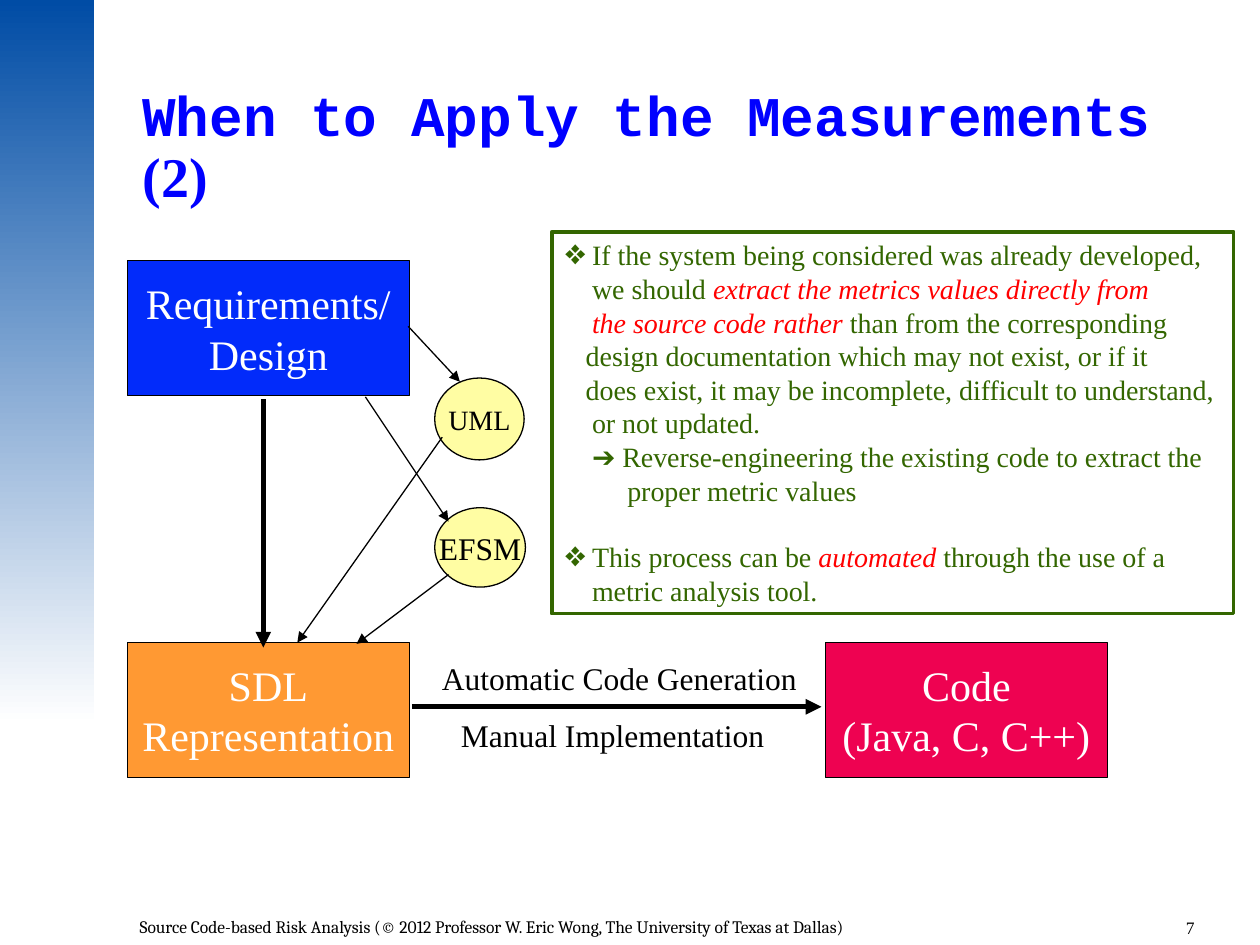
from lxml import etree
from pptx import Presentation
from pptx import util as u
from pptx.dml import color
from pptx.enum import shapes, text
from pptx.oxml import ns

COLUMNS, ROWS = 100, 75
CELL = u.Inches(0.1)
SERIF = "Times New Roman"
BLACK, WHITE, GREEN, RED, YELLOW = "000000", "FFFFFF", "336600", "FF0000", "FFFDA3"
BLOCK_WIDTH, BLOCK_HEIGHT = 22.4, 10.7
LEFT, RIGHT, UPPER, LOWER = 10.1, 65.5, 20.7, 51


def grid(*cells):
    """Turn grid positions into slide lengths."""
    return [round(cell * CELL) for cell in cells]


def rgb(value):
    """Give the colour for a hex string."""
    return color.RGBColor.from_string(value)


def child(parent, tag, **attributes):
    """Add a drawing element to a parent element."""
    return etree.SubElement(parent, ns.qn("a:" + tag), attributes)


def write(para, words, size=16, font=SERIF, ink=BLACK, bold=False, italic=False):
    """Add a formatted span to a paragraph."""
    span = para.add_run()
    span.text = words
    span.font.size = u.Pt(size)
    span.font.name = font
    span.font.color.rgb = rgb(ink)
    span.font.bold = bold
    span.font.italic = italic


def add_label(page, words, place, align=text.PP_ALIGN.LEFT, **style):
    """Add a one-line text box."""
    box = page.shapes.add_textbox(*grid(*place))
    box.text_frame.word_wrap = True
    para = box.text_frame.paragraphs[0]
    para.alignment = align
    write(para, words, **style)


def add_box(page, kind, place, fill=None, line=BLACK, weight=0.75):
    """Add a preset shape with plain fill and outline."""
    box = page.shapes.add_shape(kind, *grid(*place))
    box.shadow.inherit = False
    if fill:
        box.fill.solid()
        box.fill.fore_color.rgb = rgb(fill)
    else:
        box.fill.background()
    box.line.color.rgb = rgb(line)
    box.line.width = u.Pt(weight)
    return box


def add_node(page, kind, place, fill, lines, **style):
    """Add a diagram node with centred lines of text."""
    frame = add_box(page, kind, place, fill).text_frame
    frame.word_wrap = False
    frame.vertical_anchor = text.MSO_ANCHOR.MIDDLE
    for index, words in enumerate(lines):
        para = frame.add_paragraph() if index else frame.paragraphs[0]
        para.alignment = text.PP_ALIGN.CENTER
        write(para, words, **style)


def add_arrow(page, start, end, weight=0.75):
    """Add a straight arrow between two grid points."""
    arrow = page.shapes.add_connector(shapes.MSO_CONNECTOR.STRAIGHT, *grid(*start, *end))
    arrow.line.color.rgb = rgb(BLACK)
    arrow.line.width = u.Pt(weight)
    child(arrow.line._get_or_add_ln(), "tailEnd", type="triangle")
    child(arrow._element.spPr, "effectLst")


def add_side_band(page):
    """Add the band that fades downwards at the left edge."""
    band = add_box(page, shapes.MSO_SHAPE.RECTANGLE, (0, 0, 7.5, 57.5))
    band.line.fill.background()
    band.fill.gradient()
    band.fill.gradient_angle = 270
    for stop, position, value in zip(band.fill.gradient_stops, (0, 1), ("004CA5", WHITE)):
        stop.position = position
        stop.color.rgb = rgb(value)


def set_title(page):
    """Place and fill the title."""
    title = page.shapes.title
    title.left, title.top, title.width, title.height = grid(11.3, 7, 84.8, 5.9)
    frame = title.text_frame
    frame.margin_left = frame.margin_top = frame.margin_right = frame.margin_bottom = 0
    frame.vertical_anchor = text.MSO_ANCHOR.TOP
    frame.auto_size = text.MSO_AUTO_SIZE.NONE
    frame.word_wrap = True
    para = frame.paragraphs[0]
    para.alignment = text.PP_ALIGN.LEFT
    para.line_spacing = 0.9
    for words, font in (("When to Apply the Measurements ", "Courier New"), ("(2)", SERIF)):
        write(para, words, size=32, font=font, ink="0000FF", bold=True)


def add_notes_panel(page):
    """Add the framed panel of bulleted remarks."""
    red = {"ink": RED, "italic": True}
    lines = [
        (2.2, True, [("If the system being considered was already developed,", {})]),
        (2.2, False, [("we should ", {}), ("extract the metrics values directly from", red)]),
        (2.2, False, [("the source code rather", red), (" than from the corresponding", {})]),
        (1.7, False, [("design documentation which may not exist, or if it", {})]),
        (1.7, False, [("does exist, it may be incomplete, difficult to understand,", {})]),
        (2.2, False, [("or not updated.", {})]),
        (2.2, False, [("➔", {"font": "Arial"}),
                      (" Reverse-engineering the existing code to extract the", {})]),
        (5, False, [("proper metric values", {})]),
        (2.2, True, [("This process can be ", {}), ("automated", red),
                     (" through the use of a", {})]),
        (2.2, False, [("metric analysis tool.", {})]),
    ]
    panel = add_box(page, shapes.MSO_SHAPE.RECTANGLE, (43.8, 18.4, 54.1, 30.3),
                    line=GREEN, weight=2.25)
    frame = panel.text_frame
    frame.word_wrap = True
    frame.vertical_anchor = text.MSO_ANCHOR.TOP
    for index, (indent, bulleted, spans) in enumerate(lines):
        para = frame.add_paragraph() if index else frame.paragraphs[0]
        para.alignment = text.PP_ALIGN.LEFT
        margin = grid(indent)[0]
        properties = para._p.get_or_add_pPr()
        properties.set("marL", str(margin))
        if bulleted:
            para.space_before = u.Pt(19 if index else 0)
            properties.set("indent", str(-margin))
            child(child(properties, "buClr"), "srgbClr", val=GREEN)
            child(properties, "buFont", typeface=SERIF)
            child(properties, "buChar", char="❖")
        for words, style in spans:
            write(para, words, **{"ink": GREEN, **style})


def add_diagram(page):
    """Add the blocks, the model circles and the arrows."""
    blocks = [
        (LEFT, UPPER, "022BFA", ("Requirements/", "Design")),
        (LEFT, LOWER, "FF9933", ("SDL", "Representation")),
        (RIGHT, LOWER, "EE0251", ("Code", "(Java, C, C++)")),
    ]
    for left, top, fill, lines in blocks:
        add_node(page, shapes.MSO_SHAPE.RECTANGLE, (left, top, BLOCK_WIDTH, BLOCK_HEIGHT),
                 fill, lines, size=24, ink=WHITE)
    add_arrow(page, (20.9, 31.7), (20.9, 51.4), 3)
    add_arrow(page, (32.7, 56.1), (65.2, 56.1), 3)
    add_label(page, "Automatic Code Generation", (34.1, 51.8, 30.6, 4), size=18)
    add_label(page, "Manual Implementation", (35.6, 56.3, 26.5, 4), size=18)
    for words, top, width, height, size in (("UML", 30, 7.1, 6.5, 16),
                                            ("EFSM", 40.3, 7.2, 6.3, 18)):
        add_node(page, shapes.MSO_SHAPE.OVAL, (34.5, top, width, height),
                 YELLOW, (words,), size=size)
    for start, end in (((32.4, 25.9), (36.5, 30.3)), ((29, 31.5), (35.6, 41.4)),
                       ((35.1, 34.7), (23.6, 51)), ((35.6, 45.6), (28.3, 51.1))):
        add_arrow(page, start, end)


def main():
    """Build the slide and save the deck."""
    deck = Presentation()
    deck.slide_width, deck.slide_height = grid(COLUMNS, ROWS)
    page = deck.slides.add_slide(deck.slide_layouts[5])
    add_side_band(page)
    set_title(page)
    add_diagram(page)
    add_notes_panel(page)
    add_label(page, "7", (90, 72.3, 5.8, 3), text.PP_ALIGN.RIGHT, size=10)
    add_label(page, "Source Code-based Risk Analysis (© 2012 Professor W. Eric Wong, "
              "The University of Texas at Dallas)", (10.1, 72.2, 78.8, 2.8),
              size=10, font="Cambria")
    deck.save("out.pptx")


if __name__ == "__main__":
    main()
